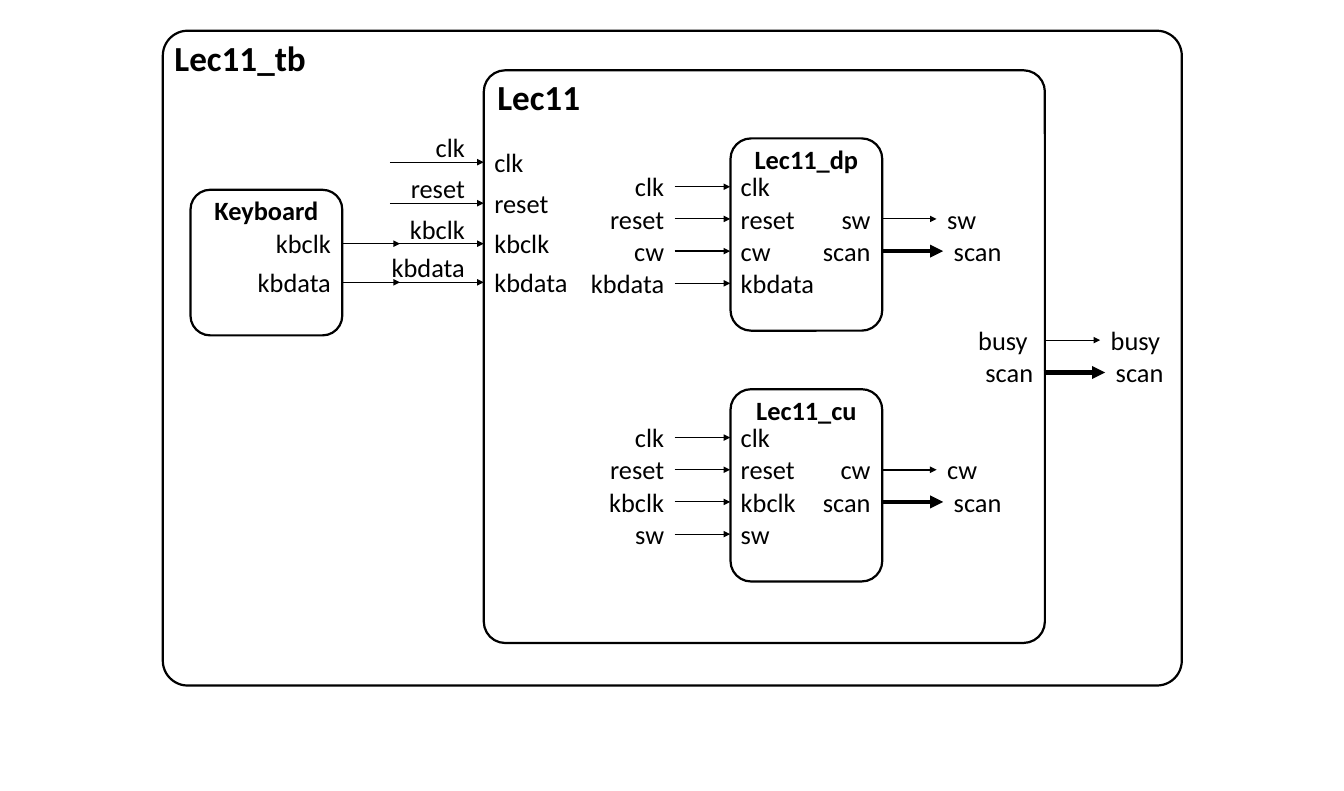
"""Draw the block diagram of the Lec11 test bench."""
from dataclasses import dataclass

from lxml.etree import SubElement
from pptx import Presentation
from pptx.dml.color import RGBColor
from pptx.enum.shapes import MSO_CONNECTOR, MSO_SHAPE
from pptx.enum.text import MSO_ANCHOR, MSO_AUTO_SIZE, PP_ALIGN
from pptx.oxml.ns import qn
from pptx.util import Pt

COLORS = {"ink": "000000"}
INK = RGBColor.from_string(COLORS["ink"])
FONT = "Calibri"
LABEL_WIDTH, LABEL_HEIGHT = 108, 39
THIN, MEDIUM, BUS = 1, 2, 4
PORT_TOP, PORT_PITCH = 44, 29.3
INPUT_START, INPUT_END = 614.5, 665
OUTPUT_START, OUTPUT_END, BUS_END = 802.5, 853, 859


@dataclass
class Block:
    """A rounded module outline with a corner rounding."""
    left: float
    top: float
    width: float
    height: float
    rounding: float = 0.135


@dataclass
class Wire:
    """A horizontal arrow with a label before its tail and after its head."""
    start: float
    end: float
    y: float
    before: str = ""
    after: str = ""
    weight: float = THIN


@dataclass
class Module:
    """An inner unit with its input and output ports, by row."""
    name: str
    top: float
    inputs: list[tuple[str, float]]
    outputs: list[tuple[str, float]]


def write(shape, text: str, align: PP_ALIGN, size: float = 24, bold: bool = False) -> None:
    """Fill a text shape with one formatted line."""
    frame = shape.text_frame
    frame.text = text
    frame.word_wrap = True
    frame.auto_size = MSO_AUTO_SIZE.NONE
    frame.vertical_anchor = MSO_ANCHOR.TOP
    frame.margin_left = frame.margin_right = Pt(9.6)
    frame.margin_top = frame.margin_bottom = Pt(4.8)
    line = frame.paragraphs[0]
    line.alignment = align
    line.font.name = FONT
    line.font.size = Pt(size)
    line.font.bold = bold
    line.font.color.rgb = INK


def add_label(slide, left: float, top: float, width: float, text: str,
              align: PP_ALIGN, size: float = 24, bold: bool = False) -> None:
    """Add a one-line text box."""
    height = LABEL_HEIGHT * size / 24
    label = slide.shapes.add_textbox(Pt(left), Pt(top), Pt(width), Pt(height))
    write(label, text, align, size, bold)


def add_block(slide, block: Block, name: str = "") -> None:
    """Add a module outline, with its name centred at the top if given."""
    outline = slide.shapes.add_shape(
        MSO_SHAPE.ROUNDED_RECTANGLE,
        Pt(block.left), Pt(block.top), Pt(block.width), Pt(block.height))
    outline.adjustments[0] = block.rounding
    outline.shadow.inherit = False
    outline.fill.background()
    outline.line.color.rgb = INK
    outline.line.width = Pt(2)
    if name:
        add_label(slide, block.left, block.top - 0.5, block.width, name,
                  PP_ALIGN.CENTER, bold=True)


def add_wire(slide, wire: Wire) -> None:
    """Add an arrow and the labels at its two ends."""
    arrow = slide.shapes.add_connector(
        MSO_CONNECTOR.STRAIGHT, Pt(wire.start), Pt(wire.y), Pt(wire.end), Pt(wire.y))
    arrow.line.color.rgb = INK
    arrow.line.width = Pt(wire.weight)
    SubElement(arrow.line._get_or_add_ln(), qn("a:tailEnd"), type="triangle")
    SubElement(arrow._element.spPr, qn("a:effectLst"))
    label_top = wire.y - LABEL_HEIGHT / 2
    if wire.before:
        add_label(slide, wire.start - LABEL_WIDTH, label_top, LABEL_WIDTH,
                  wire.before, PP_ALIGN.RIGHT)
    if wire.after:
        add_label(slide, wire.end, label_top, LABEL_WIDTH, wire.after, PP_ALIGN.LEFT)


def add_module(slide, module: Module) -> None:
    """Add an inner unit: inputs from the first row, outputs from the second."""
    add_block(slide, Block(665.3, module.top, 138.2, 175), module.name)
    for row, (signal, weight) in enumerate(module.inputs):
        y = module.top + PORT_TOP + row * PORT_PITCH
        add_wire(slide, Wire(INPUT_START, INPUT_END, y, signal, signal, weight))
    for row, (signal, weight) in enumerate(module.outputs, start=1):
        y = module.top + PORT_TOP + row * PORT_PITCH
        end = BUS_END if weight == BUS else OUTPUT_END
        add_wire(slide, Wire(OUTPUT_START, end, y, signal, signal, weight))


MODULES = [
    Module("Lec11_dp", 126,
           [("clk", THIN), ("reset", THIN), ("cw", MEDIUM), ("kbdata", THIN)],
           [("sw", THIN), ("scan", BUS)]),
    Module("Lec11_cu", 354.3,
           [("clk", THIN), ("reset", THIN), ("kbclk", THIN), ("sw", THIN)],
           [("cw", MEDIUM), ("scan", BUS)]),
]
LEC11_INPUTS = {"clk": 147.6, "reset": 185, "kbclk": 221.8, "kbdata": 257}
LEC11_OUTPUTS = [
    Wire(951, 1002, 309.6, "busy ", "busy", THIN),
    Wire(950.5, 1006.5, 339.1, "scan", "scan", BUS),
]


def main() -> None:
    """Build and save the slide."""
    deck = Presentation()
    deck.slide_width, deck.slide_height = Pt(1224), Pt(720)
    slide = deck.slides.add_slide(deck.slide_layouts.get_by_name("Title Only"))

    bench_name = slide.shapes.title
    bench_name.left, bench_name.top = Pt(148.3), Pt(28)
    bench_name.width, bench_name.height = Pt(141), Pt(48)
    write(bench_name, "Lec11_tb", PP_ALIGN.CENTER, 32, True)
    add_block(slide, Block(148.3, 28, 928, 596, 0.038))

    add_block(slide, Block(440.6, 64, 511, 521.3, 0.038))
    add_label(slide, 442.8, 64, 95.8, "Lec11", PP_ALIGN.CENTER, 32, True)
    for module in MODULES:
        add_module(slide, module)

    for signal, y in LEC11_INPUTS.items():
        add_wire(slide, Wire(355, 440.6, y, after=signal))
        add_label(slide, 325, y - 33, LABEL_WIDTH, signal, PP_ALIGN.RIGHT)
    for wire in LEC11_OUTPUTS:
        add_wire(slide, wire)

    add_block(slide, Block(173.5, 172.8, 138.2, 132.5), "Keyboard")
    for signal in ("kbclk", "kbdata"):
        add_wire(slide, Wire(311, 364.3, LEC11_INPUTS[signal], before=signal))

    deck.save("out.pptx")


main()
